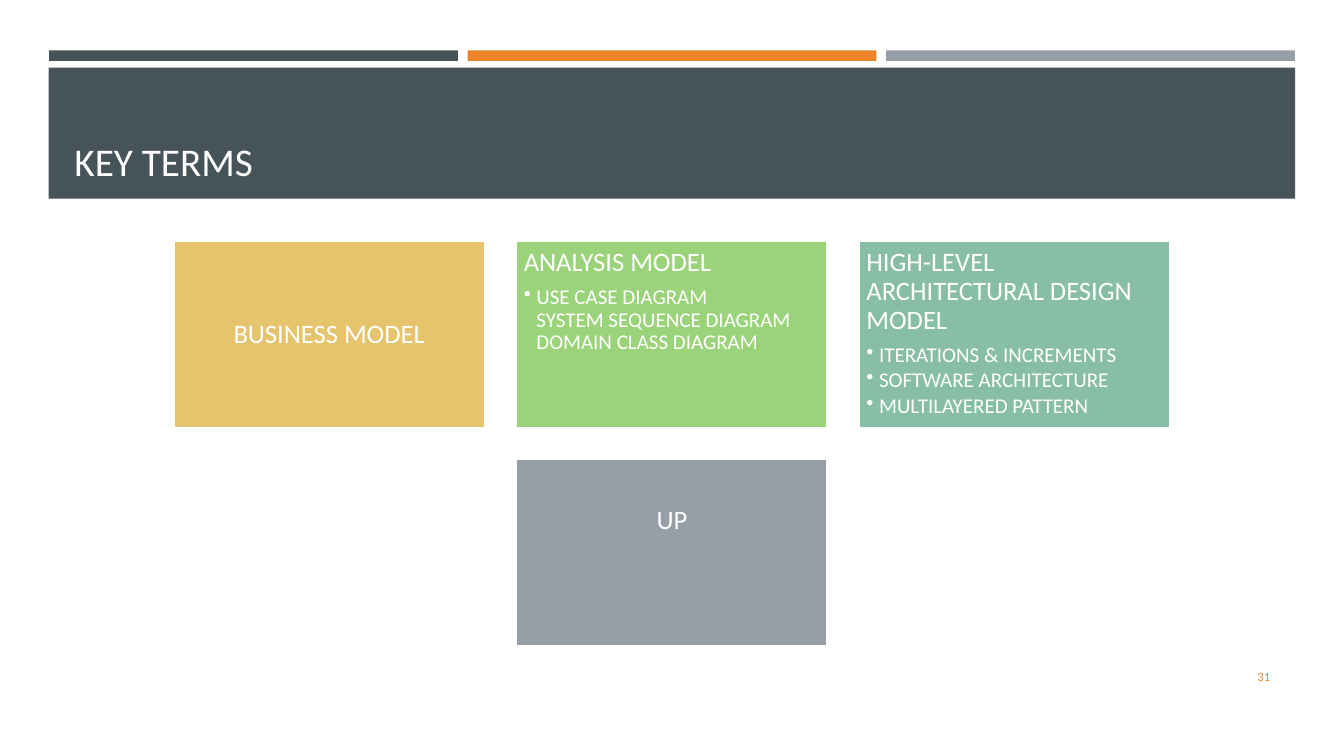
from copy import deepcopy

from lxml.etree import SubElement
from pptx import Presentation
from pptx.dml.color import RGBColor
from pptx.enum.shapes import MSO_SHAPE as Preset
from pptx.enum.text import MSO_ANCHOR as Anchor, MSO_AUTO_SIZE as AutoSize, PP_ALIGN as Align
from pptx.oxml.ns import qn
from pptx.util import Pt

FONT = "Calibri"
COLORS = {
    "slate": "465359", "orange": "ED8428", "gray": "969FA7", "gold": "E6C46D",
    "green": "9AD379", "teal": "87BEA5", "white": "FFFFFF", "title": "FFFEFF",
}
TITLE = "KEY TERMS"
PAGE_NUMBER = "31"
STRIPES = ["slate", "orange", "gray"]
CARDS = [
    {"cell": (0, 0), "color": "gold", "heading": "BUSINESS MODEL", "bullets": []},
    {"cell": (1, 0), "color": "green", "heading": "ANALYSIS MODEL",
     "bullets": ["USE CASE DIAGRAM\vSYSTEM SEQUENCE DIAGRAM\vDOMAIN CLASS DIAGRAM"]},
    {"cell": (2, 0), "color": "teal", "heading": "HIGH-LEVEL ARCHITECTURAL DESIGN MODEL",
     "bullets": ["ITERATIONS & INCREMENTS", "SOFTWARE ARCHITECTURE", "MULTILAYERED PATTERN"]},
    {"cell": (1, 1), "color": "gray", "heading": "UP", "bullets": [], "lift": 45},
]
STRIPE_LEFT, STRIPE_STEP, STRIPE_WIDTH = 35, 299, 292
CARD_LEFT, CARD_TOP, CARD_WIDTH, CARD_HEIGHT = 123.9, 172.2, 222.5, 133.5
COLUMN_STEP, ROW_STEP = 244.8, 155.8
INSET, INDENT = 5.4, 9


def rgb(name):
    return RGBColor.from_string(COLORS[name])


def add_block(slide, left, top, width, height, color, outline=None):
    shape = slide.shapes.add_shape(Preset.RECTANGLE, Pt(left), Pt(top), Pt(width), Pt(height))
    shape.shadow.inherit = False
    shape.fill.solid()
    shape.fill.fore_color.rgb = rgb(color)
    if outline:
        shape.line.color.rgb = rgb(outline)
        shape.line.width = Pt(1.75)
    else:
        shape.line.fill.background()
    return shape


def write(paragraph, text, size, color="white", align=Align.LEFT, spacing=None, after=0, bullet=False):
    paragraph.text = text
    paragraph.alignment = align
    paragraph.line_spacing = spacing
    paragraph.space_before = Pt(0)
    paragraph.space_after = Pt(after)
    if bullet:
        paragraph.level = 1
        properties = paragraph._p.get_or_add_pPr()
        properties.set("marL", str(Pt(INDENT)))
        properties.set("indent", str(-Pt(INDENT)))
        SubElement(properties, qn("a:buChar"), char="•")
    for run in paragraph.runs:
        run.font.name = FONT
        run.font.size = Pt(size)
        run.font.color.rgb = rgb(color)
    for line_break in paragraph._p.findall(qn("a:br")):
        line_break.append(deepcopy(paragraph.runs[0].font._element))


def add_card(slide, cell, color, heading, bullets, lift=0):
    column, row = cell
    card = add_block(slide, CARD_LEFT + column * COLUMN_STEP, CARD_TOP + row * ROW_STEP,
                     CARD_WIDTH, CARD_HEIGHT, color, outline="white")
    frame = card.text_frame
    frame.word_wrap = True
    frame.margin_left = frame.margin_right = frame.margin_top = Pt(INSET)
    frame.margin_bottom = Pt(INSET + lift)
    frame.vertical_anchor = Anchor.TOP if bullets else Anchor.MIDDLE
    write(frame.paragraphs[0], heading, 19, align=Align.LEFT if bullets else Align.CENTER,
          spacing=0.9, after=6.5)
    for bullet in bullets:
        write(frame.add_paragraph(), bullet, 15, spacing=0.9, after=2, bullet=True)


def main():
    presentation = Presentation()
    presentation.slide_width, presentation.slide_height = Pt(960), Pt(540)
    slide = presentation.slides.add_slide(presentation.slide_layouts[5])

    for index, color in enumerate(STRIPES):
        add_block(slide, STRIPE_LEFT + index * STRIPE_STEP, 36, STRIPE_WIDTH, 7.5, color)
    add_block(slide, 34.8, 48.4, 890.4, 93.6, "slate")

    title = slide.shapes.title
    title.left, title.top, title.width, title.height = Pt(46), Pt(55.4), Pt(868), Pt(80)
    title.text_frame.auto_size = AutoSize.NONE
    title.text_frame.vertical_anchor = Anchor.BOTTOM
    write(title.text_frame.paragraphs[0], TITLE, 28, color="title")
    slide.shapes.element.append(title.element)

    for card in CARDS:
        add_card(slide, **card)

    number = slide.shapes.add_textbox(Pt(831.6), Pt(468.7), Pt(82.8), Pt(28.8)).text_frame
    number.word_wrap = True
    number.vertical_anchor = Anchor.MIDDLE
    write(number.paragraphs[0], PAGE_NUMBER, 9, color="orange", align=Align.RIGHT)

    presentation.save("out.pptx")


if __name__ == "__main__":
    main()
